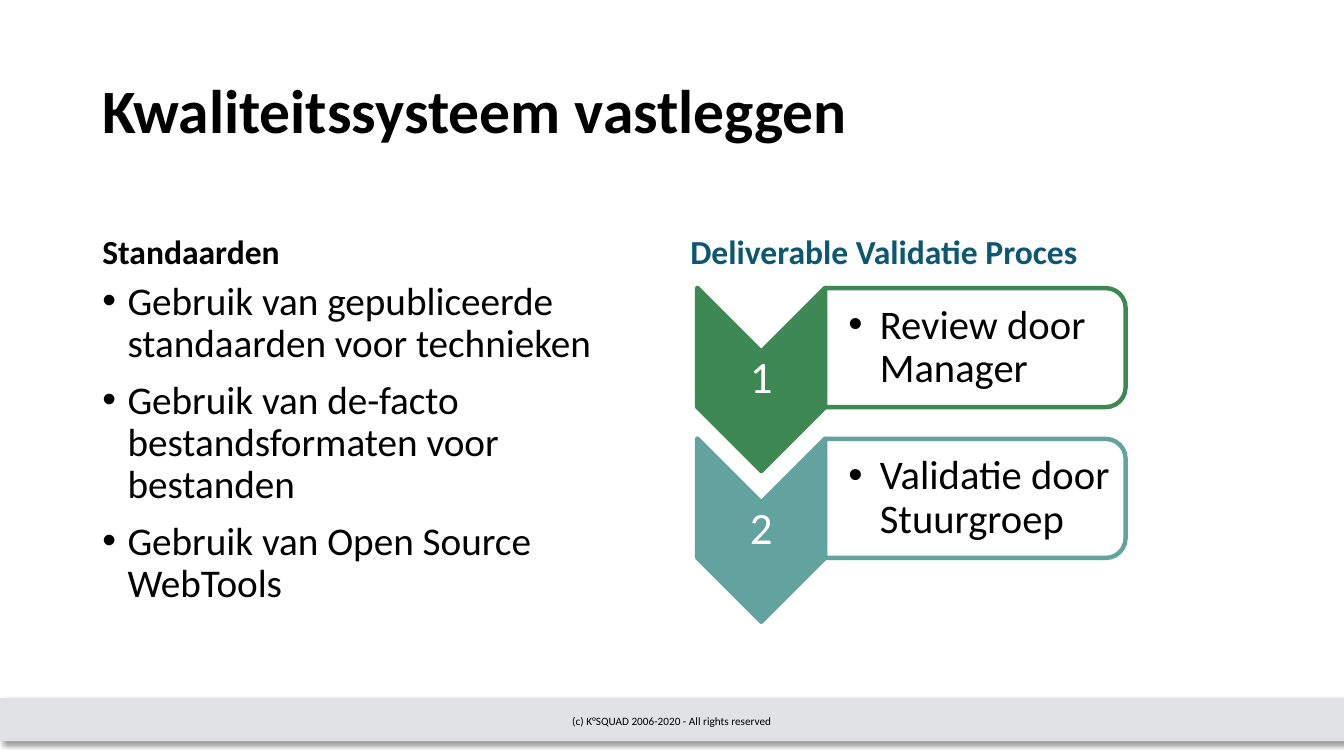
import pptx
import pptx.dml.color
import pptx.enum.shapes
import pptx.enum.text
import pptx.oxml
import pptx.oxml.ns
import pptx.util
from dataclasses import dataclass

Pt = pptx.util.Pt
Anchor = pptx.enum.text.MSO_ANCHOR
Align = pptx.enum.text.PP_ALIGN
Preset = pptx.enum.shapes.MSO_SHAPE


@dataclass(frozen=True)
class Theme:
    font: str = "Calibri"
    ink: str = "000000"
    paper: str = "FFFFFF"
    heading_accent: str = "0E5772"
    footer_band: str = "DFE3E5"
    step_colors: tuple = ("3E8853", "62A39F")
    title_size: int = 44
    heading_size: int = 24
    body_size: int = 28
    number_size: int = 32
    step_size: int = 29
    footer_size: int = 8
    outline: float = 3.15


THEME = Theme()
INSETS = (7.2, 3.6, 7.2, 3.6)
TIGHT_INSETS = (1.5, 1.5, 1.5, 1.5)
STEP_INSETS = (16.5, 1.5, 1.5, 1.5)


def rgb(color):
    return pptx.dml.color.RGBColor.from_string(color)


def drawing_element(tag, **attributes):
    element = pptx.oxml.parse_xml(f"<a:{tag} {pptx.oxml.ns.nsdecls('a')}/>")
    for name, value in attributes.items():
        element.set(name, str(value))
    return element


def add_bullet(paragraph, indent):
    properties = paragraph._p.get_or_add_pPr()
    properties.set("marL", str(Pt(indent)))
    properties.set("indent", str(-Pt(indent)))
    properties.append(drawing_element("buFont", typeface="Arial"))
    properties.append(drawing_element("buChar", char="•"))


def add_text(slide, box, lines, size, color=THEME.ink, bold=False, anchor=Anchor.MIDDLE,
             align=Align.LEFT, insets=INSETS, indent=None, spacing=0.9):
    shape = slide.shapes.add_textbox(*map(Pt, box))
    frame = shape.text_frame
    frame.word_wrap = True
    frame.vertical_anchor = anchor
    frame.margin_left, frame.margin_top, frame.margin_right, frame.margin_bottom = map(Pt, insets)
    for index, line in enumerate(lines):
        paragraph = frame.add_paragraph() if index else frame.paragraphs[0]
        if indent:
            add_bullet(paragraph, indent)
        paragraph.alignment = align
        paragraph.line_spacing = spacing
        if index:
            paragraph.space_before = Pt(10)
        run = paragraph.add_run()
        run.text = line
        run.font.name = THEME.font
        run.font.size = Pt(size)
        run.font.bold = bold
        run.font.color.rgb = rgb(color)


def add_filled(slide, preset, box, fill, outline=None):
    shape = slide.shapes.add_shape(preset, *map(Pt, box))
    shape.shadow.inherit = False
    shape.fill.solid()
    shape.fill.fore_color.rgb = rgb(fill)
    if outline:
        shape.line.color.rgb = rgb(outline)
        shape.line.width = Pt(THEME.outline)
    else:
        shape.line.fill.background()
    return shape


def add_quarter_turned(slide, preset, box, fill, outline):
    left, top, width, height = box
    shift = (width - height) / 2
    shape = add_filled(slide, preset, (left + shift, top - shift, height, width), fill, outline)
    shape.rotation = 90
    return shape


def add_footer(slide, box, text):
    left, top, width, height = box
    band = add_filled(slide, Preset.RECTANGLE, box, THEME.footer_band)
    shadow = drawing_element("outerShdw", blurRad=Pt(4), dist=Pt(3), dir=45 * 60000,
                             algn="tl", rotWithShape=0)
    shadow_color = drawing_element("srgbClr", val=THEME.ink)
    shadow_color.append(drawing_element("alpha", val=40000))
    shadow.append(shadow_color)
    band._element.spPr.find(pptx.oxml.ns.qn("a:effectLst")).append(shadow)
    add_text(slide, (left + 318, top + 2, 324, height - 2), [text], THEME.footer_size,
             align=Align.CENTER, spacing=1)


def add_heading(slide, box, text, color):
    add_text(slide, box, [text], THEME.heading_size, color, bold=True, anchor=Anchor.BOTTOM)


def add_standards(slide, box, heading, items):
    left, top, width, height = box
    heading_height = 65
    add_heading(slide, (left, top, width, heading_height), heading, THEME.ink)
    add_text(slide, (left, top + heading_height, width, height - heading_height), items,
             THEME.body_size, anchor=Anchor.TOP, indent=18)


def add_step(slide, box, number, text, color):
    left, top, width, height = box
    arrow_width, tab_height = 91.5, 85
    tab_left, tab_width = left + arrow_width, width - arrow_width
    add_quarter_turned(slide, Preset.CHEVRON, (left, top, arrow_width, height), color, color)
    add_text(slide, (left, top + arrow_width / 2, arrow_width, height - arrow_width),
             [str(number)], THEME.number_size, THEME.paper, align=Align.CENTER,
             insets=TIGHT_INSETS)
    tab = add_quarter_turned(slide, Preset.ROUND_2_SAME_RECTANGLE,
                             (tab_left, top + 0.3, tab_width, tab_height), THEME.paper, color)
    fill_color = tab._element.spPr.find(pptx.oxml.ns.qn("a:solidFill"))[0]
    fill_color.append(drawing_element("alpha", val=90000))
    add_text(slide, (tab_left, top + 4.5, tab_width - 4.5, tab_height - 8), [text],
             THEME.step_size, insets=STEP_INSETS, indent=22.5)


def add_process(slide, box, heading, steps):
    left, top, width, height = box
    add_heading(slide, (left, top, width, 65), heading, THEME.heading_accent)
    step_pitch = 107.7
    for index, (text, color) in enumerate(zip(steps, THEME.step_colors)):
        step_box = (left + 12, top + 73 + index * step_pitch, 306, 131)
        add_step(slide, step_box, index + 1, text, color)


def main():
    presentation = pptx.Presentation()
    presentation.slide_width, presentation.slide_height = Pt(960), Pt(540)
    slide = presentation.slides.add_slide(presentation.slide_layouts[6])
    add_footer(slide, (0, 498.5, 960, 31), "(c) K°SQUAD 2006-2020 - All rights reserved")
    add_text(slide, (66, 28.8, 828, 104.4), ["Kwaliteitssysteem vastleggen"],
             THEME.title_size, bold=True)
    add_standards(slide, (66, 132.5, 406, 355), "Standaarden", [
        "Gebruik van gepubliceerde standaarden voor technieken",
        "Gebruik van de-facto bestandsformaten voor bestanden",
        "Gebruik van Open Source WebTools",
    ])
    add_process(slide, (486, 132.5, 408, 355), "Deliverable Validatie Proces",
                ["Review door Manager", "Validatie door Stuurgroep"])
    presentation.save("out.pptx")


if __name__ == "__main__":
    main()
